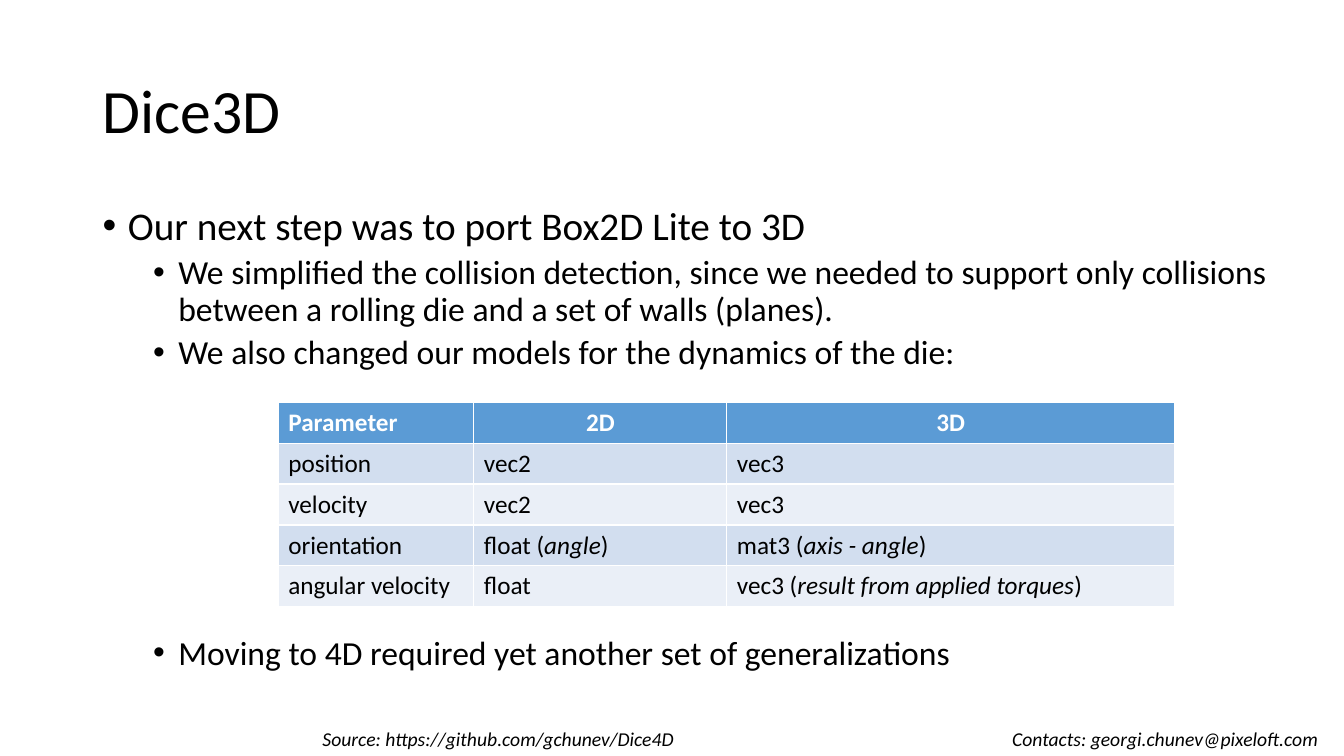
from lxml.etree import SubElement
from pptx import Presentation
from pptx.dml.color import RGBColor
from pptx.enum.text import MSO_ANCHOR, PP_ALIGN
from pptx.oxml.ns import qn
from pptx.util import Inches, Pt

BLACK, WHITE = "000000", "FFFFFF"
HEADER_BLUE, BAND_DARK, BAND_LIGHT = "5B9BD5", "D2DEEF", "EAEFF7"

# Bullets: level, space before in points, text
BULLETS = [
    (0, 0, "Our next step was to port Box2D Lite to 3D"),
    (1, 5, "We simplified the collision detection, since we needed to support "
           "only collisions between a rolling die and a set of walls (planes)."),
    (1, 5, "We also changed our models for the dynamics of the die:"),
    (1, 189, "Moving to 4D required yet another set of generalizations"),
]
BULLET_SIZES = (28, 24)

# Each cell: plain text, or (type, italic remark) shown as "type (remark)"
PARAMETERS = [
    ("Parameter", "2D", "3D"),
    ("position", "vec2", "vec3"),
    ("velocity", "vec2", "vec3"),
    ("orientation", ("float", "angle"), ("mat3", "axis - angle")),
    ("angular velocity", "float", ("vec3", "result from applied torques")),
]
COLUMN_WIDTHS = (1.94, 2.51, 4.44)


def color(hex_code):
    return RGBColor.from_string(hex_code)


def add_run(paragraph, text, size, hex_code=BLACK, bold=False, italic=False):
    run = paragraph.add_run()
    run.text = text
    font = run.font
    font.name, font.size, font.bold, font.italic = "Calibri", Pt(size), bold, italic
    font.color.rgb = color(hex_code)


def add_text_frame(slide, box):
    frame = slide.shapes.add_textbox(*map(Inches, box)).text_frame
    frame.word_wrap = True
    return frame


def add_title(slide, box, text):
    title = slide.shapes.title
    title.left, title.top, title.width, title.height = map(Inches, box)
    frame = title.text_frame
    frame.vertical_anchor = MSO_ANCHOR.MIDDLE
    heading = frame.paragraphs[0]
    heading.alignment = PP_ALIGN.LEFT
    heading.line_spacing = 0.9
    add_run(heading, text, 44)


def add_bullets(slide, box):
    frame = add_text_frame(slide, box)
    for index, (level, space, text) in enumerate(BULLETS):
        bullet = frame.add_paragraph() if index else frame.paragraphs[0]
        bullet.level = level
        bullet.line_spacing = 0.9
        bullet.space_before = Pt(space)
        properties = bullet._p.get_or_add_pPr()
        properties.set("marL", str(Inches(0.25 + 0.5 * level)))
        properties.set("indent", str(Inches(-0.25)))
        SubElement(properties, qn("a:buFont"), typeface="Arial")
        SubElement(properties, qn("a:buChar"), char="•")
        add_run(bullet, text, BULLET_SIZES[level])


def add_parameter_table(slide, box):
    table = slide.shapes.add_table(
        len(PARAMETERS), len(COLUMN_WIDTHS), *map(Inches, box)).table
    for column, width in zip(table.columns, COLUMN_WIDTHS):
        column.width = Inches(width)
    for r, row in enumerate(PARAMETERS):
        header = r == 0
        fill = HEADER_BLUE if header else (BAND_LIGHT, BAND_DARK)[r % 2]
        for c, content in enumerate(row):
            cell = table.cell(r, c)
            cell.fill.solid()
            cell.fill.fore_color.rgb = color(fill)
            entry = cell.text_frame.paragraphs[0]
            if header and c:
                entry.alignment = PP_ALIGN.CENTER
            if isinstance(content, tuple):
                kind, remark = content
                add_run(entry, f"{kind} (", 18)
                add_run(entry, remark, 18, italic=True)
                add_run(entry, ")", 18)
            else:
                add_run(entry, content, 18, WHITE if header else BLACK, bold=header)


def add_footer(slide, box, source, contacts):
    line = add_text_frame(slide, box).paragraphs[0]
    # Tab stop where the contacts begin
    stops = SubElement(line._p.get_or_add_pPr(), qn("a:tabLst"))
    SubElement(stops, qn("a:tab"), pos=str(Inches(6.84)), algn="l")
    add_run(line, f"{source}\t{contacts}", 14, italic=True)


def main():
    deck = Presentation()
    deck.slide_width, deck.slide_height = Inches(13.33), Inches(7.5)
    slide = deck.slides.add_slide(deck.slide_layouts[5])
    add_footer(slide, (3.1, 7.16, 10.23, 0.34),
               "Source: https://github.com/gchunev/Dice4D",
               "Contacts: georgi.chunev@pixeloft.com")
    add_title(slide, (0.92, 0.4, 11.5, 1.45), "Dice3D")
    add_bullets(slide, (0.92, 2, 11.98, 5.24))
    add_parameter_table(slide, (2.76, 3.99, sum(COLUMN_WIDTHS), 2.03))
    deck.save("out.pptx")


if __name__ == "__main__":
    main()
